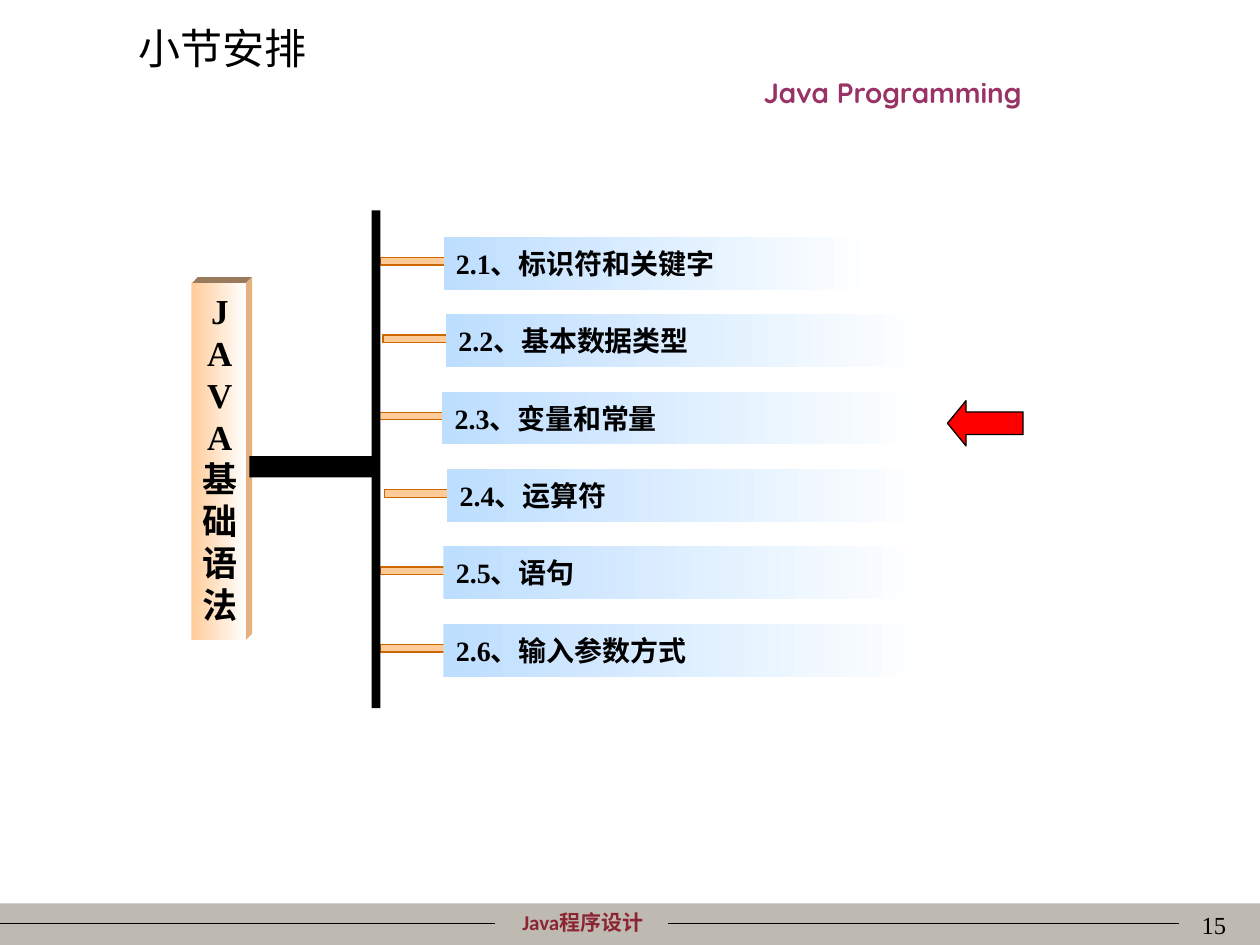
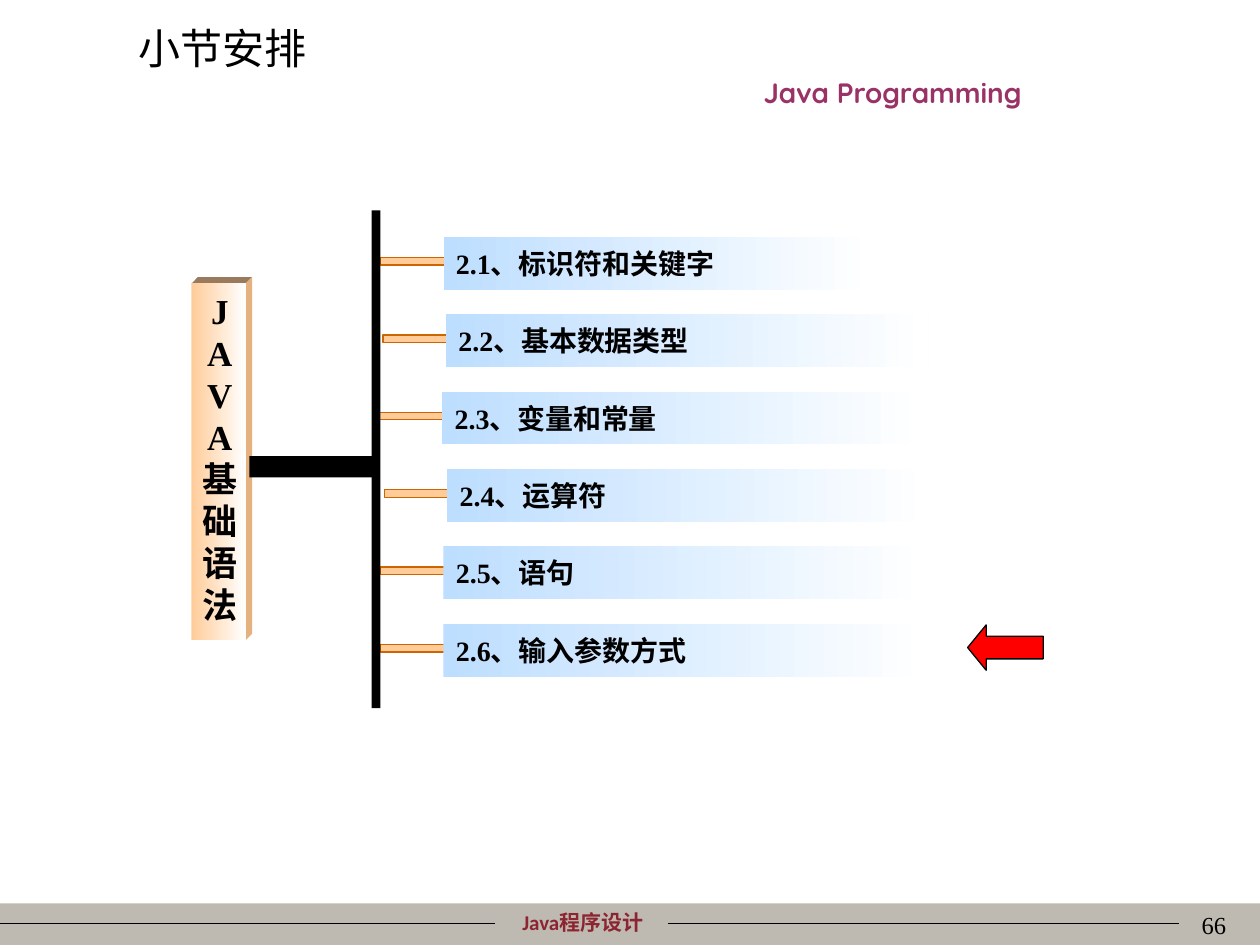
from lxml.etree import SubElement
from pptx import Presentation
from pptx.dml.color import RGBColor
from pptx.enum.shapes import MSO_CONNECTOR, MSO_SHAPE
from pptx.enum.text import MSO_ANCHOR as Anchor, PP_ALIGN as Align
from pptx.oxml.ns import qn
from pptx.util import Inches, Pt

TITLE = "小节安排"
COURSE = "Java Programming"
FOOTER = "Java程序设计"
CHAPTER = ["J", "A", "V", "A", "基础语法"]
# label, left edge, width
SECTIONS = [
    ("2.1、标识符和关键字", 3.52, 3.41),
    ("2.2、基本数据类型", 3.54, 3.83),
    ("2.3、变量和常量", 3.51, 3.83),
    ("2.4、运算符", 3.55, 3.83),
    ("2.5、语句", 3.52, 3.83),
    ("2.6、输入参数方式", 3.52, 3.83),
]
# page number, left and top of the arrow at the current section
PAGES = [("15", 7.52, 3.18), ("66", 7.68, 4.96)]

BLACK, WHITE, RED = "000000", "FFFFFF", "FF0000"
ORANGE, ORANGE_EDGE, ORANGE_SIDE, ORANGE_TOP = "FFCC99", "CC6600", "E5B27F", "997A5C"
BLUE, BAND, MAROON, PURPLE = "BDDEFF", "BFBAB1", "8C2532", "993366"
SERIF, SANS, ROUND, CJK = "Times New Roman", "Calibri", "Quicksand", "Noto Sans CJK SC"

FIRST_TOP, LAST_TOP, SECTION_HEIGHT = 1.88, 4.95, 0.42
TICK_WIDTH, TICK_HEIGHT = 0.51, 0.06
BAR_LEFT, BAR_TOP, BAR_WIDTH, BAR_HEIGHT, BAR_DEPTH = 1.52, 2.25, 0.43, 2.83, 0.05


def rgb(color):
    return RGBColor.from_string(color)


def paint(shape, fill, edge=None):
    """Fill with one colour, or left to right with a pair of colours."""
    shape.shadow.inherit = False
    if isinstance(fill, tuple):
        shape.fill.gradient()
        shape.fill.gradient_angle = 0
        for stop, color in zip(shape.fill.gradient_stops, fill):
            stop.color.rgb = rgb(color)
    else:
        shape.fill.solid()
        shape.fill.fore_color.rgb = rgb(fill)
    if edge:
        shape.line.color.rgb = rgb(edge)
        shape.line.width = Pt(0.75)
    else:
        shape.line.fill.background()


def add_block(slide, box, fill, edge=None, kind=MSO_SHAPE.RECTANGLE):
    block = slide.shapes.add_shape(kind, *map(Inches, box))
    paint(block, fill, edge)
    return block


def write(shape, lines, size, font, color=BLACK, bold=False, align=Align.LEFT,
          anchor=Anchor.MIDDLE):
    frame = shape.text_frame
    frame.word_wrap = True
    frame.vertical_anchor = anchor
    frame.text = "\n".join(lines)
    for paragraph in frame.paragraphs:
        paragraph.alignment = align
        paragraph.font.size = Pt(size)
        paragraph.font.name = font
        paragraph.font.bold = bold
        paragraph.font.color.rgb = rgb(color)
        defaults = paragraph._p.pPr.find(qn("a:defRPr"))
        SubElement(defaults, qn("a:ea")).set("typeface", CJK)
    return frame


def add_label(slide, box, text, *style, **options):
    write(slide.shapes.add_textbox(*map(Inches, box)), [text], *style, **options)


def add_rule(slide, start, end, y):
    rule = slide.shapes.add_connector(
        MSO_CONNECTOR.STRAIGHT, *map(Inches, (start, y, end, y)))
    rule.line.color.rgb = rgb(BLACK)
    rule.line.width = Pt(0.75)
    SubElement(rule._element.spPr, qn("a:effectLst"))


def add_frame(slide, number):
    """Title, course name and footer band."""
    add_block(slide, (0, 7.17, 10, 0.33), BAND)
    add_label(slide, (3.62, 7.17, 2.01, 0.3), FOOTER, 12, SANS, MAROON, True, Align.CENTER)
    for start, end in ((0, 3.93), (5.3, 9.36)):
        add_rule(slide, start, end, 7.33)
    add_label(slide, (5.08, 0.55, 4.01, 0.37), COURSE, 16, ROUND, PURPLE, True, Align.CENTER)
    add_label(slide, (7.75, 7.17, 2.08, 0.5), number, 14, SERIF, align=Align.RIGHT,
              anchor=Anchor.TOP)
    title = slide.shapes.title
    title.left, title.top, title.width, title.height = map(Inches, (1, 0.13, 2.85, 0.5))
    write(title, [TITLE], 24, CJK)


def add_face(slide, points, fill):
    start, *rest = [(Inches(x), Inches(y)) for x, y in points]
    outline = slide.shapes.build_freeform(*start)
    outline.add_line_segments(rest)
    paint(outline.convert_to_shape(), fill)


def add_chapter_bar(slide):
    """Upright bar with a raised top and right side."""
    right, bottom = BAR_LEFT + BAR_WIDTH, BAR_TOP + BAR_HEIGHT
    far_right, far_top = right + BAR_DEPTH, BAR_TOP - BAR_DEPTH
    add_face(slide, [(BAR_LEFT, BAR_TOP), (BAR_LEFT + BAR_DEPTH, far_top),
                     (far_right, far_top), (right, BAR_TOP)], ORANGE_TOP)
    add_face(slide, [(right, BAR_TOP), (far_right, far_top),
                     (far_right, bottom - BAR_DEPTH), (right, bottom)], ORANGE_SIDE)
    front = add_block(slide, (BAR_LEFT, BAR_TOP, BAR_WIDTH, BAR_HEIGHT), (ORANGE, WHITE))
    frame = write(front, CHAPTER, 20, SERIF, bold=True, align=Align.CENTER,
                  anchor=Anchor.TOP)
    frame.margin_left, frame.margin_right = Inches(0.05), Inches(0.03)
    for paragraph in frame.paragraphs:
        paragraph.line_spacing = Pt(24)


def add_sections(slide):
    pitch = (LAST_TOP - FIRST_TOP) / (len(SECTIONS) - 1)
    for row, (label, left, width) in enumerate(SECTIONS):
        top = FIRST_TOP + row * pitch
        add_block(slide, (left - 0.5, top + 0.165, TICK_WIDTH, TICK_HEIGHT),
                  ORANGE, ORANGE_EDGE)
        section = add_block(slide, (left, top, width, SECTION_HEIGHT), (BLUE, WHITE))
        write(section, [label], 16, SERIF, bold=True, align=Align.JUSTIFY)


def add_arrow(slide, left, top):
    arrow = add_block(slide, (left, top, 0.6, 0.36), RED, BLACK, MSO_SHAPE.LEFT_ARROW)
    arrow.adjustments[1] = 0.41


def main():
    deck = Presentation()
    deck.slide_width, deck.slide_height = Inches(10), Inches(7.5)
    title_only = deck.slide_layouts[5]
    for number, arrow_left, arrow_top in PAGES:
        slide = deck.slides.add_slide(title_only)
        add_frame(slide, number)
        add_arrow(slide, arrow_left, arrow_top)
        add_chapter_bar(slide)
        add_block(slide, (1.98, 3.62, 1, 0.17), BLACK)
        add_sections(slide)
        add_block(slide, (2.95, 1.67, 0.07, 3.95), BLACK)
    deck.save("out.pptx")


if __name__ == "__main__":
    main()
